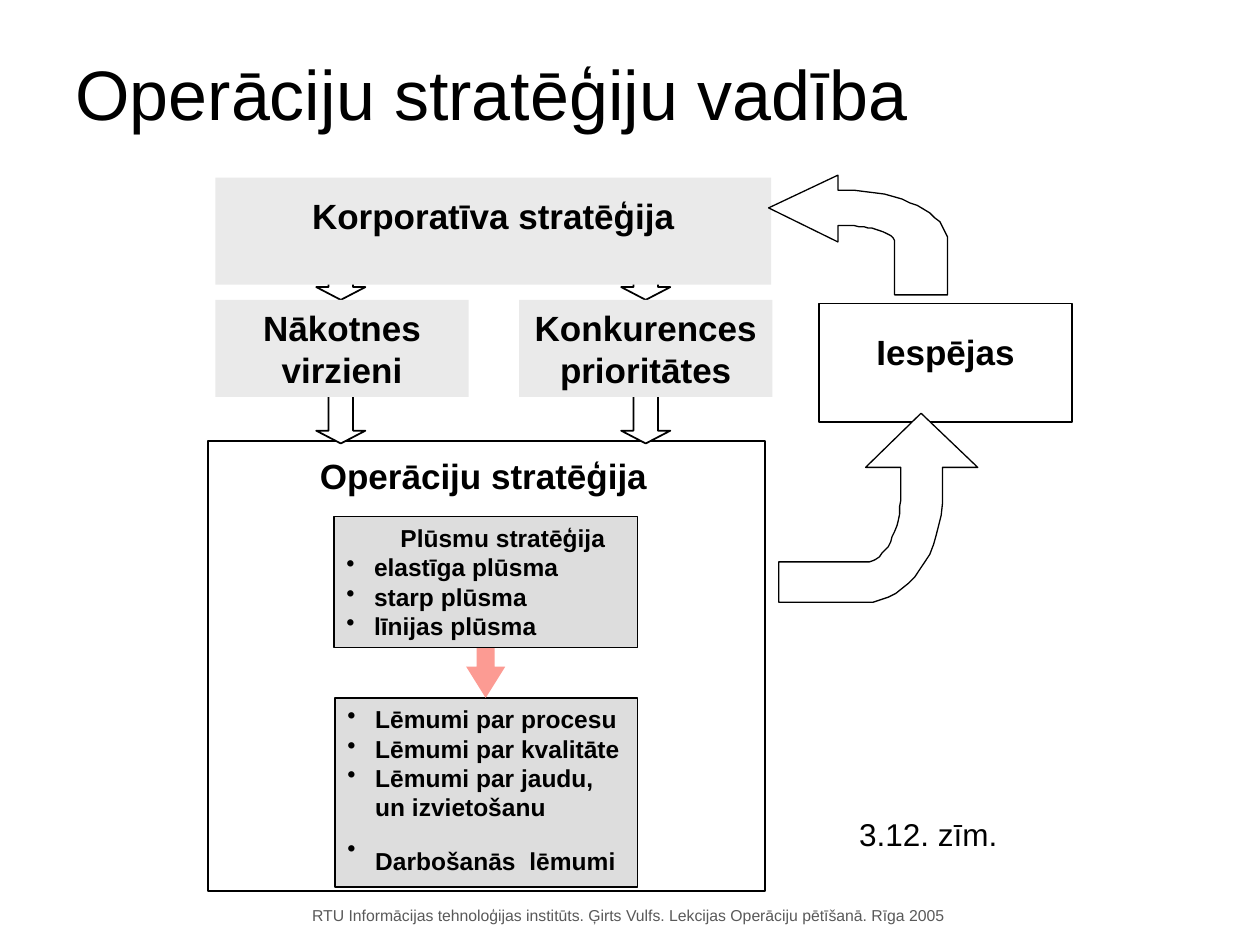
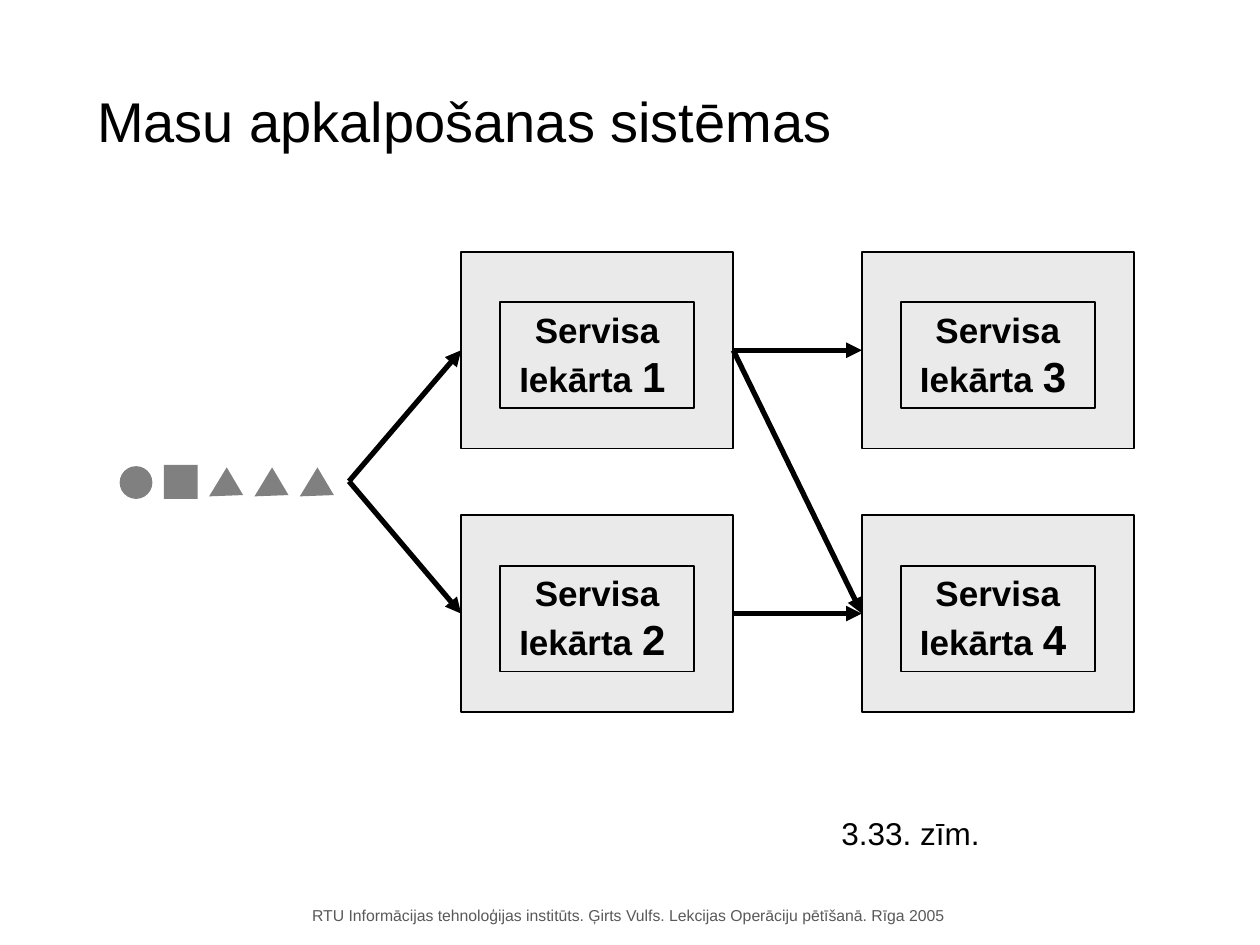
import dataclasses

import lxml.etree
import pptx
import pptx.dml.color
import pptx.enum.shapes
import pptx.enum.text
import pptx.oxml.ns
import pptx.util

EMU_PER_PX = 9144  # 100 px to the inch

BLACK = pptx.dml.color.RGBColor(0x00, 0x00, 0x00)
WHITE = pptx.dml.color.RGBColor(0xFF, 0xFF, 0xFF)
PALE_GREY = pptx.dml.color.RGBColor(0xEA, 0xEA, 0xEA)
LIGHT_GREY = pptx.dml.color.RGBColor(0xDD, 0xDD, 0xDD)
MID_GREY = pptx.dml.color.RGBColor(0x80, 0x80, 0x80)
FOOTER_GREY = pptx.dml.color.RGBColor(0x59, 0x59, 0x59)
PINK = pptx.dml.color.RGBColor(0xFC, 0x9B, 0x93)

SHAPE = pptx.enum.shapes.MSO_SHAPE
ALIGN = pptx.enum.text.PP_ALIGN
ANCHOR = pptx.enum.text.MSO_ANCHOR

LABEL = {"name": "Arial", "size": pptx.util.Pt(20), "bold": True}
LIST = LABEL | {"size": pptx.util.Pt(14)}
CAPTION = {"name": "Arial", "size": pptx.util.Pt(18), "bold": False}
FOOTER = CAPTION | {"size": pptx.util.Pt(9)}

FOOTER_TEXT = ("RTU Informācijas tehnoloģijas institūts. Ģirts Vulfs. "
               "Lekcijas Operāciju pētīšanā. Rīga 2005")


@dataclasses.dataclass
class Line:
    """A paragraph: its spans are texts or (text, size) pairs."""
    spans: list
    bullet: bool = False
    margin: int = 0


def px(*lengths):
    return [pptx.util.Emu(round(length * EMU_PER_PX)) for length in lengths]


def add_bullet(para):
    properties = para._p.get_or_add_pPr()
    margin = 22 * EMU_PER_PX
    properties.set("marL", str(margin))
    properties.set("indent", str(-margin))
    color = lxml.etree.SubElement(properties, pptx.oxml.ns.qn("a:buClr"))
    lxml.etree.SubElement(color, pptx.oxml.ns.qn("a:srgbClr"), val=str(BLACK))
    lxml.etree.SubElement(properties, pptx.oxml.ns.qn("a:buChar"), char="•")


def write(box, lines, look, align=ALIGN.LEFT, color=BLACK, top=5,
          wrap=True, anchor=ANCHOR.TOP):
    frame = box.text_frame
    settings = {
        "word_wrap": wrap, "vertical_anchor": anchor,
        "auto_size": pptx.enum.text.MSO_AUTO_SIZE.NONE,
        "margin_top": px(top)[0], "margin_bottom": px(5)[0],
        "margin_left": px(10)[0], "margin_right": px(10)[0],
    }
    for name, value in settings.items():
        setattr(frame, name, value)
    for index, line in enumerate(lines):
        para = frame.add_paragraph() if index else frame.paragraphs[0]
        para.alignment = align
        if line.bullet:
            add_bullet(para)
        elif line.margin:
            para._p.get_or_add_pPr().set("marL", str(line.margin * EMU_PER_PX))
        for part in line.spans:
            text, size = part if isinstance(part, tuple) else (part, None)
            span = para.add_run()
            span.text = text
            span_look = look | {"size": pptx.util.Pt(size)} if size else look
            for name, value in span_look.items():
                setattr(span.font, name, value)
            span.font.color.rgb = color


def paint(shape, fill, line_width):
    shape.shadow.inherit = False
    shape.fill.solid()
    shape.fill.fore_color.rgb = fill
    if line_width:
        shape.line.color.rgb = BLACK
        shape.line.width = pptx.util.Pt(line_width)
    else:
        shape.line.fill.background()


def add_figure(page, kind, place, fill, line_width=1, adjustments=()):
    shape = page.shapes.add_shape(kind, *px(*place))
    paint(shape, fill, line_width)
    for index, value in enumerate(adjustments):
        shape.adjustments[index] = value
    return shape


def add_label_box(page, place, text, fill, line_width=0, top=5):
    box = add_figure(page, SHAPE.RECTANGLE, place, fill, line_width)
    write(box, [Line([text])], LABEL, ALIGN.CENTER, top=top)


def add_list_box(page, place, lines):
    box = add_figure(page, SHAPE.RECTANGLE, place, LIGHT_GREY)
    write(box, lines, LIST)


def add_text(page, place, text, look, **options):
    box = page.shapes.add_textbox(*px(*place))
    write(box, [Line([text])], look, wrap=False, **options)


def curve_points(start, curve, steps=16):
    """Points along a cubic curve given as x1, y1, x2, y2, x3, y3."""
    knots = [start, curve[:2], curve[2:4], curve[4:]]
    for step in range(1, steps + 1):
        t = step / steps
        weights = ((1 - t) ** 3, 3 * t * (1 - t) ** 2, 3 * t * t * (1 - t), t ** 3)
        yield tuple(sum(w * knot[axis] for w, knot in zip(weights, knots))
                    for axis in (0, 1))


def add_outline(page, start, steps, fill, line_width):
    """A step of two numbers is a straight side, of six a curve."""
    points = [start]
    for step in steps:
        if len(step) == 2:
            points.append(step)
        else:
            points.extend(curve_points(points[-1], step))
    builder = page.shapes.build_freeform(*start, scale=EMU_PER_PX)
    builder.add_line_segments(points[1:], close=True)
    paint(builder.convert_to_shape(), fill, line_width)


def add_arrow(page, start, source, target):
    """An arrow from a box's right side, or a free point, to a left side."""
    arrow = page.shapes.add_connector(
        pptx.enum.shapes.MSO_CONNECTOR.STRAIGHT, *px(*start, *start))
    if source is not None:
        arrow.begin_connect(source, 3)
    arrow.end_connect(target, 1)
    arrow.line.color.rgb = BLACK
    arrow.line.width = pptx.util.Pt(3)
    lxml.etree.SubElement(arrow.line._get_or_add_ln(),
                          pptx.oxml.ns.qn("a:tailEnd"), type="triangle")
    lxml.etree.SubElement(arrow._element.spPr, pptx.oxml.ns.qn("a:effectLst"))


def add_page(deck, title, place, size):
    page = deck.slides.add_slide(deck.slide_layouts[5])
    box = page.shapes.title
    box.left, box.top, box.width, box.height = px(*place)
    write(box, [Line([(title, size)])], CAPTION, anchor=ANCHOR.MIDDLE)
    add_text(page, (232, 714, 533, 25), FOOTER_TEXT, FOOTER,
             color=FOOTER_GREY, align=ALIGN.CENTER)
    return page


def add_strategy_page(deck):
    page = add_page(deck, "Operāciju stratēģiju vadība", (50, 0, 697, 147), 40)

    # Opportunities and operations strategy
    add_label_box(page, (650, 241, 201, 94), "Iespējas", WHITE, 1, top=21)
    add_figure(page, SHAPE.RECTANGLE, (165, 350, 442, 357), WHITE)
    add_text(page, (244, 356, 280, 44), "Operāciju stratēģija", LABEL)
    add_list_box(page, (266, 554, 240, 150), [
        Line(["Lēmumi par procesu"], bullet=True),
        Line(["Lēmumi par kvalitāte"], bullet=True),
        Line(["Lēmumi par jaudu, un izvietošanu"], bullet=True),
        Line(["Darbošanās", (" ", 28), "lēmumi"], bullet=True),
    ])
    add_figure(page, SHAPE.DOWN_ARROW, (370, 511, 31, 43), PINK, 0, (0.46, 0.8))
    flows = ["elastīga plūsma", "starp plūsma", "līnijas plūsma"]
    add_list_box(page, (265, 410, 241, 104),
                 [Line(["Plūsmu stratēģija"], margin=43)]
                 + [Line([flow], bullet=True) for flow in flows])

    # Corporate strategy and its two branches
    for left, arrow_left, text in ((171, 251, "Nākotnes virzieni"),
                                   (412, 493, "Konkurences prioritātes")):
        for top in (197, 311):
            add_figure(page, SHAPE.DOWN_ARROW, (arrow_left, top, 39, 41), WHITE,
                       adjustments=(0.5, 0.26))
        add_label_box(page, (left, 238, 201, 77), text, PALE_GREY)
    add_label_box(page, (171, 141, 441, 85), "Korporatīva stratēģija",
                  PALE_GREY, top=13)
    add_text(page, (672, 642, 130, 40), "3.12. zīm.", CAPTION)

    # Curved feedback arrows
    add_outline(page, (752, 234), [
        (752, 192), (752, 170, 715, 151, 670, 151), (665, 151), (665, 139),
        (610, 165), (665, 192), (665, 179), (670, 179),
        (692, 179, 710, 185, 710, 192), (710, 234),
    ], WHITE, 0.75)
    add_outline(page, (618, 478), [
        (687, 478), (721, 478, 748, 439, 748, 391), (748, 371), (776, 371),
        (731, 328), (687, 371), (715, 371), (715, 391),
        (715, 422, 702, 446, 687, 446), (618, 446),
    ], WHITE, 0.75)


def add_station(page, left, top, number):
    outer = add_figure(page, SHAPE.RECTANGLE, (left, top, 216, 156), PALE_GREY)
    inner = add_figure(page, SHAPE.RECTANGLE, (left + 31, top + 40, 154, 84),
                       PALE_GREY)
    write(inner, [Line(["Servisa"]), Line(["Iekārta ", (number, 24), " "])],
          LABEL, ALIGN.CENTER)
    return outer


def add_queue_page(deck):
    page = add_page(deck, "Masu apkalpošanas sistēmas", (67, 33, 850, 125), 32)

    # Waiting customers
    add_figure(page, SHAPE.OVAL, (95, 370, 26, 26), MID_GREY, 0)
    add_figure(page, SHAPE.RECTANGLE, (130, 369, 27, 27), MID_GREY, 0)
    for left in range(166, 239, 36):
        add_outline(page, (left, 394), [(left + 14, 371), (left + 27, 393)],
                    MID_GREY, 0)

    # Service stations, column by column
    first, second, third, fourth = [
        add_station(page, left, top, str(2 * column + row + 1))
        for column, left in enumerate((366, 684))
        for row, top in enumerate((200, 409))]

    # Routes
    queue_end = (277, 382)
    for source, target in ((None, first), (None, second), (first, third),
                           (first, fourth), (second, fourth)):
        add_arrow(page, queue_end, source, target)
    add_text(page, (658, 641, 130, 40), "3.33. zīm.", CAPTION)


def main():
    deck = pptx.Presentation()
    deck.slide_width, deck.slide_height = px(1000, 750)
    add_strategy_page(deck)
    add_queue_page(deck)
    deck.save("out.pptx")


if __name__ == "__main__":
    main()
